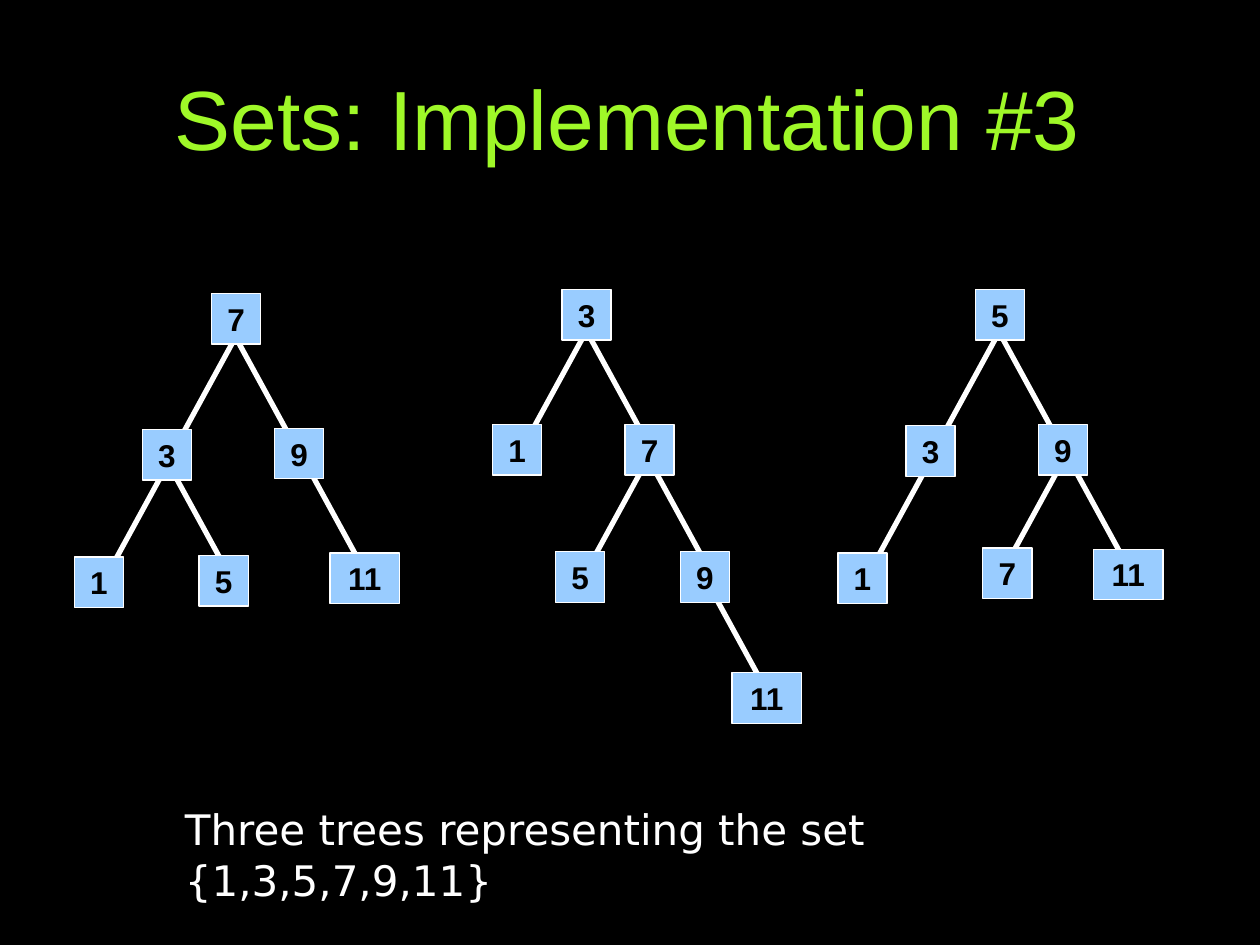
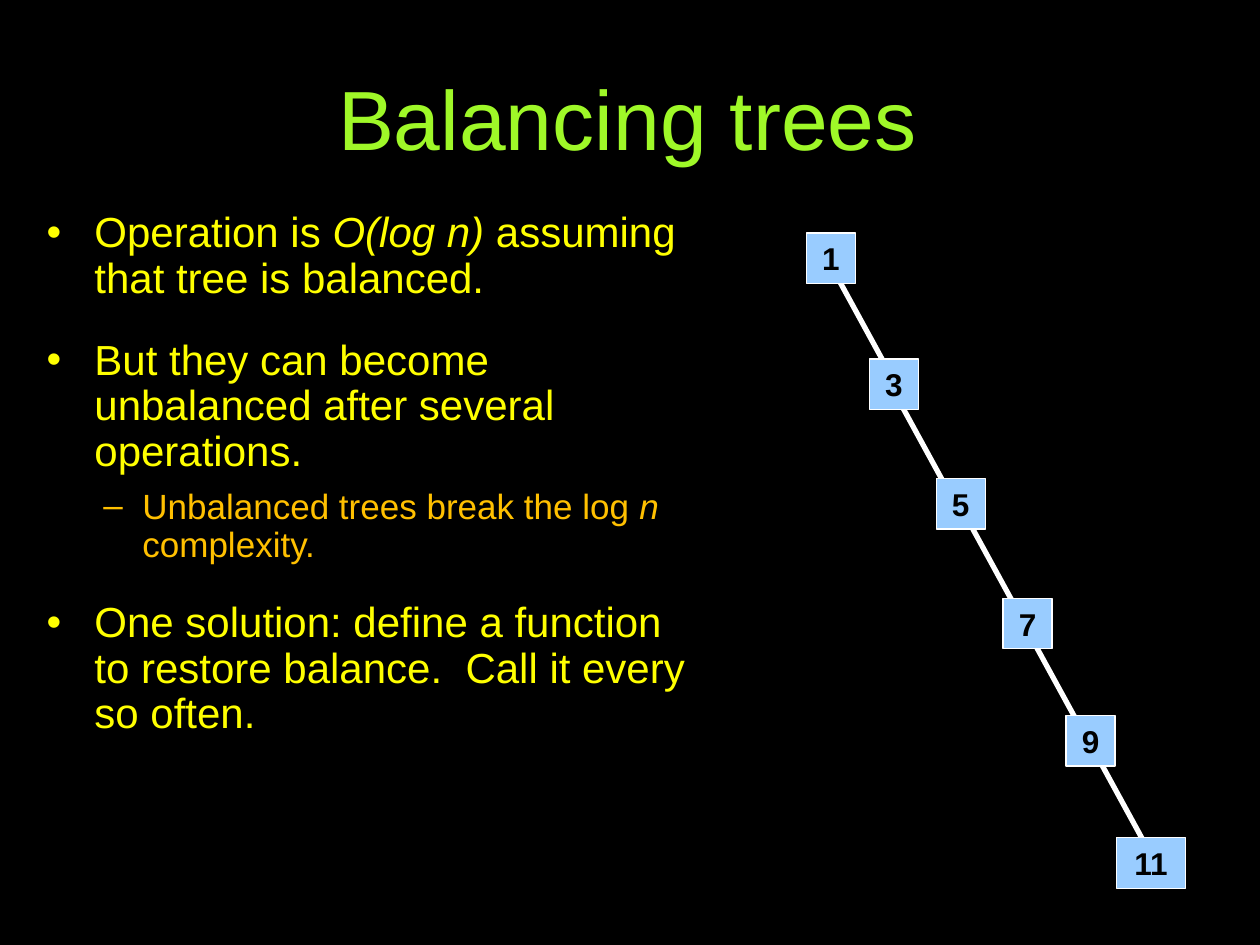
import pptx
import pptx.util
import pptx.dml.color
import pptx.enum.shapes
import pptx.enum.text
import pptx.oxml.ns
from lxml import etree

Inches = pptx.util.Inches
Pt = pptx.util.Pt
ALIGN = pptx.enum.text.PP_ALIGN
ANCHOR = pptx.enum.text.MSO_ANCHOR
qn = pptx.oxml.ns.qn

BLACK, WHITE, GREEN = "000000", "FFFFFF", "9FF828"
YELLOW, ORANGE, NODE_BLUE = "FFFF00", "FFC000", "99CCFF"
BRANCH_WIDTH, BRANCH_HEIGHT = 0.53, 0.97
NODE_HEIGHT = 0.4
LEFT, RIGHT = -1, 1

FRAME_FORMAT = {"word_wrap": True, "margin_left": Inches(0.06), "margin_top": Inches(0.06),
                "margin_right": Inches(0.1), "margin_bottom": Inches(0.06)}
TITLE_FRAME = {**FRAME_FORMAT, "vertical_anchor": ANCHOR.MIDDLE}
PLAIN_FRAME = {"word_wrap": True, "vertical_anchor": ANCHOR.TOP}
CENTRED = {"alignment": ALIGN.CENTER}
TITLE_FONT = {"name": "Arial", "size": Pt(48)}
CAPTION_FONT = {"name": "DejaVu Sans", "size": Pt(24)}
NODE_FONT = {"name": "Arial", "size": Pt(18), "bold": True}


def colour(hex_code):
    return pptx.dml.color.RGBColor.from_string(hex_code)


def write(para, text, font_format, hex_code, para_format):
    span = para.add_run()
    span.text = text
    span.font.color.rgb = colour(hex_code)
    for target, values in ((span.font, font_format), (para, para_format)):
        for name, value in values.items():
            setattr(target, name, value)


# Each node: label, left, top, and its branches as (side, start x, start y).
three_trees = [
    [("7", 1.68, 2.33, [(RIGHT, 1.85, 2.64), (LEFT, 1.9, 2.62)]),
     ("9", 2.18, 3.4, [(RIGHT, 2.39, 3.61)]),
     ("3", 1.13, 3.41, [(LEFT, 1.36, 3.63), (RIGHT, 1.32, 3.65)]),
     ("5", 1.58, 4.41, []),
     ("1", 0.59, 4.42, []),
     ("11", 2.62, 4.39, [])],
    [("3", 4.46, 2.3, [(RIGHT, 4.64, 2.6), (LEFT, 4.68, 2.58)]),
     ("7", 4.96, 3.37, [(LEFT, 5.17, 3.59), (RIGHT, 5.13, 3.61)]),
     ("1", 3.91, 3.37, []),
     ("9", 5.4, 4.38, [(RIGHT, 5.58, 4.56)]),
     ("5", 4.41, 4.38, []),
     ("11", 5.81, 5.34, [])],
    [("5", 7.74, 2.3, [(RIGHT, 7.91, 2.6), (LEFT, 7.96, 2.58)]),
     ("9", 8.24, 3.37, [(LEFT, 8.49, 3.56), (RIGHT, 8.45, 3.58)]),
     ("3", 7.19, 3.38, [(LEFT, 7.42, 3.59)]),
     ("7", 7.8, 4.35, []),
     ("1", 6.65, 4.39, []),
     ("11", 8.68, 4.36, [])],
]
unbalanced_tree = [
    ("1", 6.4, 1.85, [(RIGHT, 6.58, 2.08)]),
    ("3", 6.9, 2.85, [(RIGHT, 7.08, 3.08)]),
    ("5", 7.43, 3.8, [(RIGHT, 7.64, 4.05)]),
    ("7", 7.96, 4.75, [(RIGHT, 8.13, 4.96)]),
    ("9", 8.46, 5.68, [(RIGHT, 8.63, 5.86)]),
    ("11", 8.86, 6.65, []),
]

deck = pptx.Presentation()
deck.slide_width, deck.slide_height = Inches(10), Inches(7.5)
pages = []

for title, trees in (("Sets: Implementation #3", three_trees),
                     ("Balancing trees", [unbalanced_tree])):
    page = deck.slides.add_slide(deck.slide_layouts[6])
    pages.append(page)
    page.background.fill.solid()
    page.background.fill.fore_color.rgb = colour(BLACK)

    box = page.shapes.add_textbox(Inches(0.5), Inches(0.07), Inches(9), Inches(1.71))
    for name, value in TITLE_FRAME.items():
        setattr(box.text_frame, name, value)
    write(box.text_frame.paragraphs[0], title, TITLE_FONT, GREEN, CENTRED)

    for tree in trees:
        group = page.shapes.add_group_shape()
        for label, left, top, branches in tree:
            for side, x, y in branches:
                branch = group.shapes.add_connector(
                    pptx.enum.shapes.MSO_CONNECTOR.STRAIGHT, Inches(x), Inches(y),
                    Inches(x + side * BRANCH_WIDTH), Inches(y + BRANCH_HEIGHT))
                branch.line.color.rgb = colour(WHITE)
                branch.line.width = Pt(3)
                etree.SubElement(branch._element.spPr, qn("a:effectLst"))
        for label, left, top, branches in tree:
            width = 0.55 if len(label) > 1 else 0.39
            node = group.shapes.add_shape(
                pptx.enum.shapes.MSO_SHAPE.RECTANGLE,
                Inches(left), Inches(top), Inches(width), Inches(NODE_HEIGHT))
            node.shadow.inherit = False
            node.fill.solid()
            node.fill.fore_color.rgb = colour(NODE_BLUE)
            node.line.color.rgb = colour(WHITE)
            node.line.width = Pt(0.75)
            for name, value in PLAIN_FRAME.items():
                setattr(node.text_frame, name, value)
            write(node.text_frame.paragraphs[0], label, NODE_FONT, BLACK, CENTRED)

trees_page, balance_page = pages

caption = trees_page.shapes.add_textbox(Inches(1.37), Inches(6.33), Inches(7.37), Inches(0.5))
for name, value in PLAIN_FRAME.items():
    setattr(caption.text_frame, name, value)
write(caption.text_frame.paragraphs[0], "Three trees representing the set {1,3,5,7,9,11}",
      CAPTION_FONT, WHITE, {})

levels = [
    {"bullet": "•", "size": 24, "colour": YELLOW, "margin": 0.42, "indent": -0.38, "before": 9},
    {"bullet": "–", "size": 20, "colour": ORANGE, "margin": 0.8, "indent": -0.31, "before": 8},
]
points = [
    (0, 12, [("Operation is ", False), ("O(log n) ", True),
             ("assuming that tree is balanced.", False)]),
    (0, 0, [("But they can become unbalanced after several operations.", False)]),
    (1, 12, [("Unbalanced trees break the log ", False), ("n", True), (" complexity.", False)]),
    (0, 0, [("One solution: define a function to restore balance.  Call it every so often.",
             False)]),
]
body = balance_page.shapes.add_textbox(Inches(0.27), Inches(1.62), Inches(5.36), Inches(5.63))
for name, value in FRAME_FORMAT.items():
    setattr(body.text_frame, name, value)
for index, (depth, after, spans) in enumerate(points):
    level = levels[depth]
    para = body.text_frame.add_paragraph() if index else body.text_frame.paragraphs[0]
    para_format = {"level": depth, "line_spacing": 0.9,
                   "space_before": Pt(level["before"]), "space_after": Pt(after)}
    for text, italic in spans:
        font_format = {"name": "Arial", "size": Pt(level["size"]), "italic": italic}
        write(para, text, font_format, level["colour"], para_format)
    properties = para._p.get_or_add_pPr()
    properties.set("marL", str(Inches(level["margin"])))
    properties.set("indent", str(Inches(level["indent"])))
    bullet_colour = etree.SubElement(properties, qn("a:buClr"))
    etree.SubElement(bullet_colour, qn("a:srgbClr"), val=level["colour"])
    etree.SubElement(properties, qn("a:buFont"), typeface="Arial")
    etree.SubElement(properties, qn("a:buChar"), char=level["bullet"])

deck.save("out.pptx")
